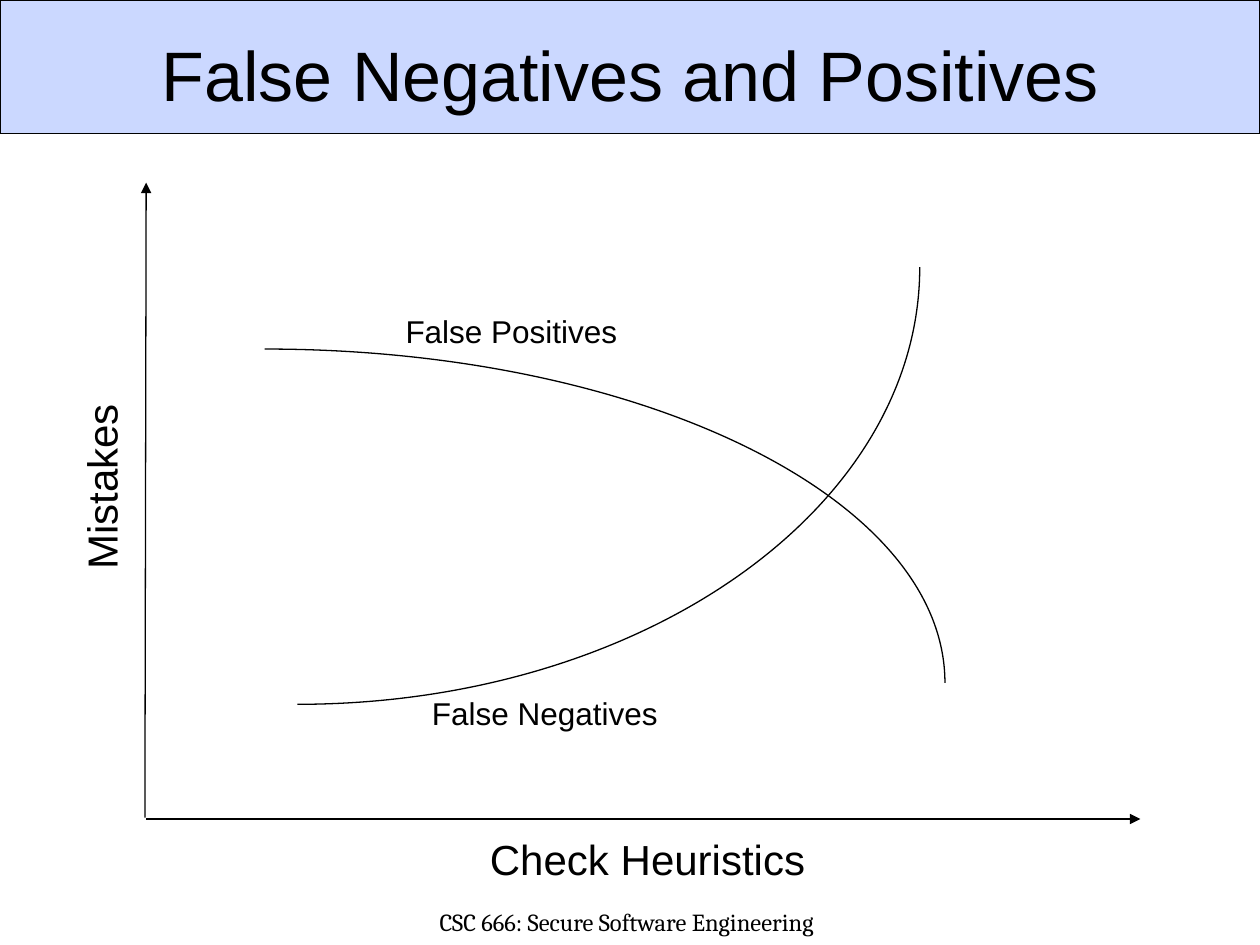
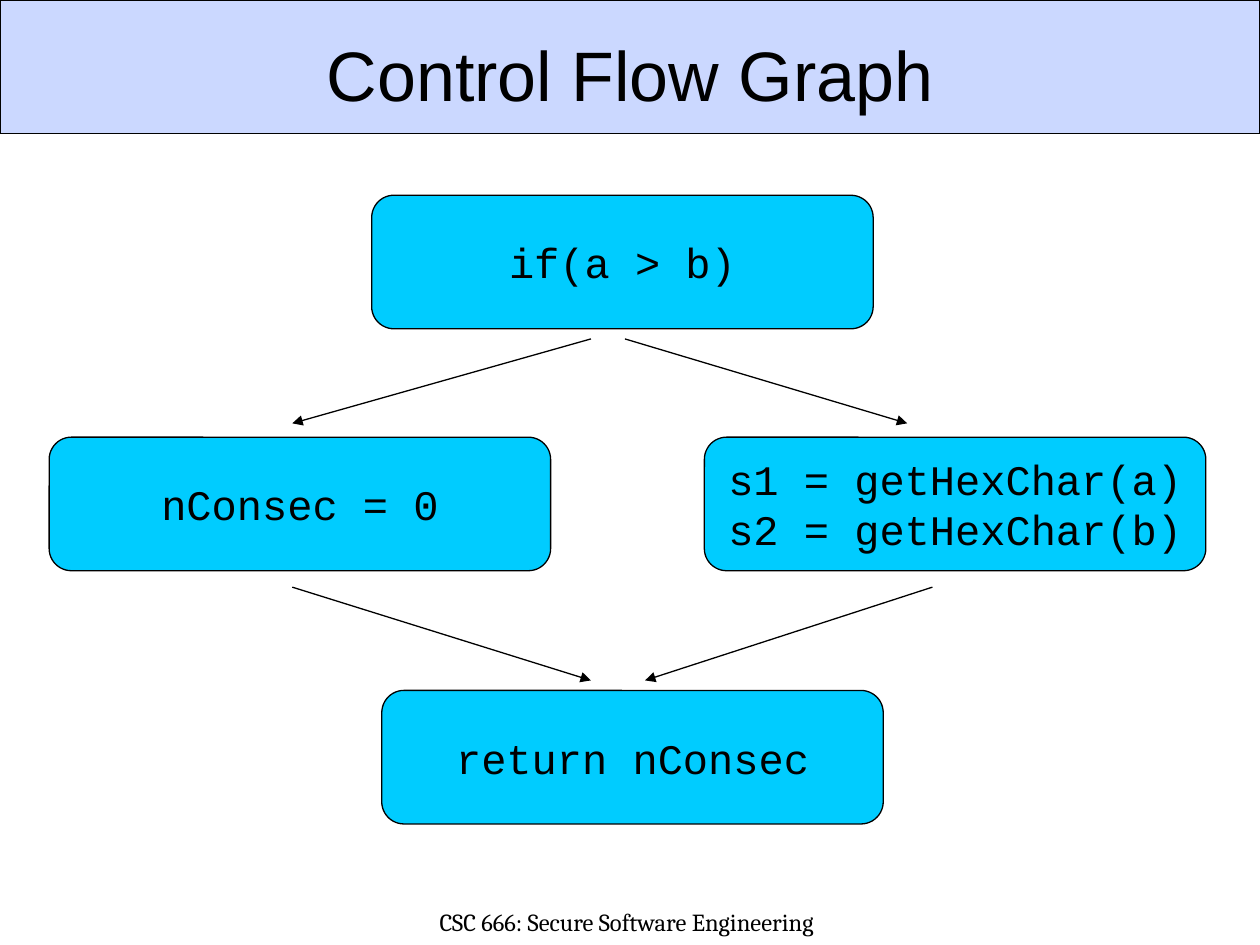
from lxml.etree import SubElement
from pptx import Presentation
from pptx.dml.color import RGBColor
from pptx.enum.shapes import MSO_CONNECTOR, MSO_SHAPE
from pptx.enum.text import MSO_ANCHOR, MSO_AUTO_SIZE, PP_ALIGN
from pptx.oxml.ns import qn
from pptx.util import Inches, Pt

COLORS = {"ink": "000000", "band": "3366FF", "node": "00CCFF"}
BODY, CODE, FOOTER = "Arial", "Courier New", "Cambria"
NODE_WIDTH, NODE_HEIGHT = 3.98, 1.06


def color(name):
    """Return a palette colour."""
    return RGBColor.from_string(COLORS[name])


def box(left, top, width, height):
    """Convert a frame in inches to lengths."""
    return [Inches(length) for length in (left, top, width, height)]


def outline(shape):
    """Give a shape or connector the thin dark line."""
    shape.line.color.rgb = color("ink")
    shape.line.width = Pt(0.75)


def write(frame, text, size, font, align=PP_ALIGN.CENTER):
    """Fill a text frame with evenly formatted paragraphs."""
    frame.text = text
    for paragraph in frame.paragraphs:
        paragraph.alignment = align
        paragraph.font.size = Pt(size)
        paragraph.font.name = font
        paragraph.font.color.rgb = color("ink")


def add_block(slide, kind, frame, fill):
    """Add a filled, outlined preset shape."""
    block = slide.shapes.add_shape(kind, *box(*frame))
    block.shadow.inherit = False
    block.fill.solid()
    block.fill.fore_color.rgb = color(fill)
    outline(block)
    return block


def add_node(slide, left, top, code):
    """Add a control flow node holding code."""
    node = add_block(slide, MSO_SHAPE.FLOWCHART_ALTERNATE_PROCESS,
                     (left, top, NODE_WIDTH, NODE_HEIGHT), "node")
    node.text_frame.vertical_anchor = MSO_ANCHOR.MIDDLE
    node.text_frame.word_wrap = False
    write(node.text_frame, code, 24, CODE)


def add_label(slide, frame, text, size, rotation=0):
    """Add an unwrapped label that fits its text."""
    label = slide.shapes.add_textbox(*box(*frame))
    label.rotation = rotation
    label.text_frame.word_wrap = False
    label.text_frame.auto_size = MSO_AUTO_SIZE.SHAPE_TO_FIT_TEXT
    write(label.text_frame, text, size, BODY, PP_ALIGN.LEFT)


def add_arrow(slide, start, end):
    """Add a straight arrow pointing at its end."""
    arrow = slide.shapes.add_connector(MSO_CONNECTOR.STRAIGHT, *box(*start, *end))
    outline(arrow)
    SubElement(arrow.line._get_or_add_ln(), qn("a:tailEnd"), type="triangle")
    SubElement(arrow.element.spPr, qn("a:effectLst"))


def add_curve(slide, *points):
    """Add an open Bezier curve from a start, two control points and an end."""
    start, *bends_and_end = [(round(x * 100), round(y * 100)) for x, y in points]
    builder = slide.shapes.build_freeform(*start, scale=Inches(0.01))
    builder.add_line_segments(bends_and_end, close=False)
    curve = builder.convert_to_shape()
    curve.shadow.inherit = False
    curve.fill.background()
    outline(curve)
    path = next(curve.element.iter(qn("a:path")))
    bezier = SubElement(path, qn("a:cubicBezTo"))
    for segment in path.findall(qn("a:lnTo")):
        bezier.append(segment[0])
        path.remove(segment)


def dress_layout(layout, slide):
    """Build the band and footer once and move them to the layout."""
    for placeholder in list(layout.placeholders)[1:]:
        placeholder.element.getparent().remove(placeholder.element)
    band = add_block(slide, MSO_SHAPE.RECTANGLE, (0, 0, 10, 1.06), "band")
    tint = next(band.element.spPr.iter(qn("a:srgbClr")))
    SubElement(tint, qn("a:alpha"), val="25000")
    footer = slide.shapes.add_textbox(*box(1.61, 7.15, 6.73, 0.35))
    footer.text_frame.word_wrap = True
    write(footer.text_frame, "CSC 666: Secure Software Engineering", 14, FOOTER)
    for part in (band, footer):
        layout.placeholders[0].element.addprevious(part.element)


def set_title(slide, text):
    """Place and format the slide title."""
    title = slide.shapes.title
    title.left, title.top, title.width, title.height = box(0.5, 0.17, 9, 0.82)
    title.text_frame.vertical_anchor = MSO_ANCHOR.MIDDLE
    title.text_frame.auto_size = MSO_AUTO_SIZE.NONE
    write(title.text_frame, text, 40, BODY)


def fill_mistakes(slide):
    """Draw the trade-off between false positives and negatives."""
    set_title(slide, "False Negatives and Positives")
    add_arrow(slide, (1.15, 6.49), (1.16, 1.45))
    add_arrow(slide, (1.16, 6.5), (9.05, 6.5))
    add_curve(slide, (2.1, 2.77), (5.08, 2.77), (7.5, 3.95), (7.5, 5.42))
    add_curve(slide, (2.36, 5.59), (5.09, 5.59), (7.3, 4.04), (7.3, 2.12))
    add_label(slide, (0.04, 3.61, 1.52, 0.5), "Mistakes", 24, 270)
    add_label(slide, (3.33, 5.46, 1.99, 0.4), "False Negatives", 18)
    add_label(slide, (3.12, 2.43, 1.88, 0.4), "False Positives", 18)
    add_label(slide, (3.79, 6.57, 2.7, 0.5), "Check Heuristics", 24)


def fill_control_flow(slide):
    """Draw the branch and join of the control flow graph."""
    set_title(slide, "Control Flow Graph")
    for left, top, code in (
        (0.39, 3.47, "nConsec = 0"),
        (5.59, 3.47, "s1 = getHexChar(a)\ns2 = getHexChar(b)"),
        (3.03, 5.48, "return nConsec"),
        (2.95, 1.55, "if(a > b)"),
    ):
        add_node(slide, left, top, code)
    for start_x, end_x in ((4.69, 2.32), (4.96, 7.2)):
        add_arrow(slide, (start_x, 2.69), (end_x, 3.36))
    for start_x, end_x in ((2.32, 4.69), (7.4, 5.12)):
        add_arrow(slide, (start_x, 4.66), (end_x, 5.4))


def main():
    """Build and save the presentation."""
    deck = Presentation()
    deck.slide_width, deck.slide_height = Inches(10), Inches(7.5)
    layout = deck.slide_layouts[5]
    mistakes, control_flow = (deck.slides.add_slide(layout) for _ in range(2))
    dress_layout(layout, mistakes)
    fill_mistakes(mistakes)
    fill_control_flow(control_flow)
    deck.save("out.pptx")


main()
